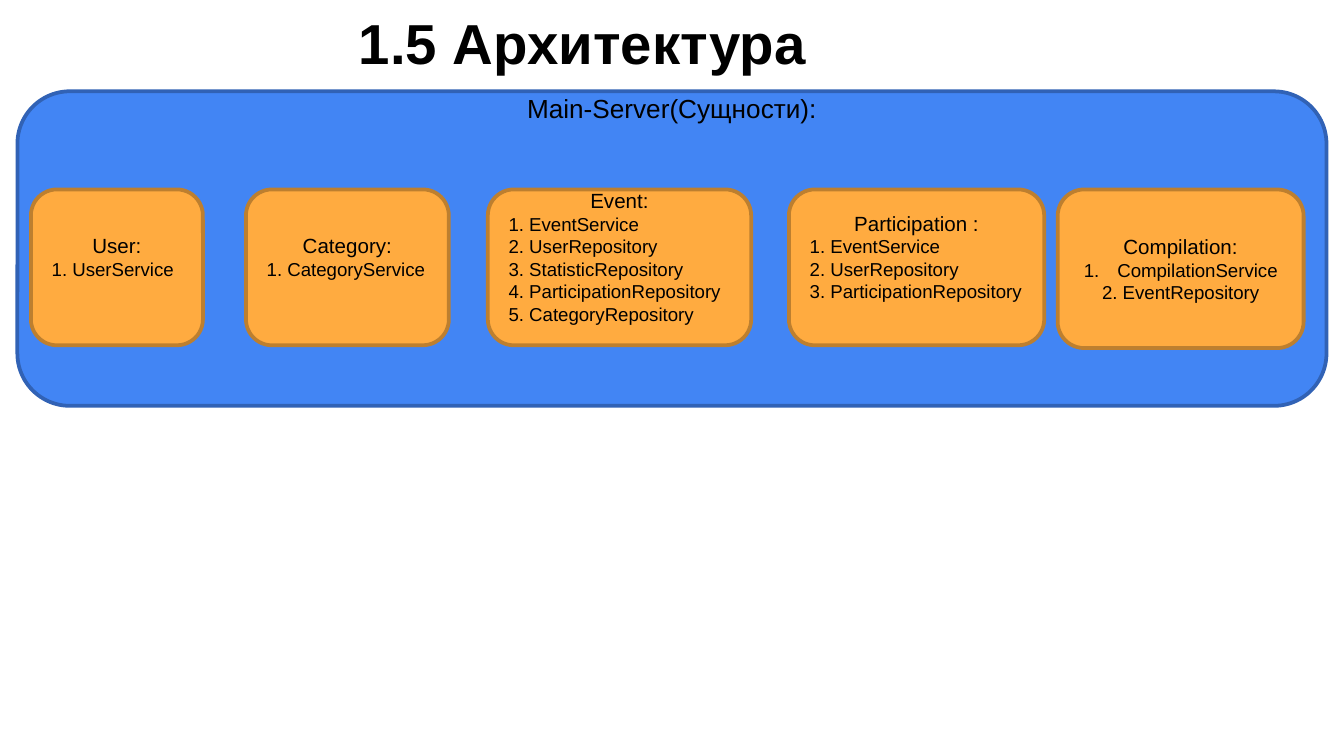
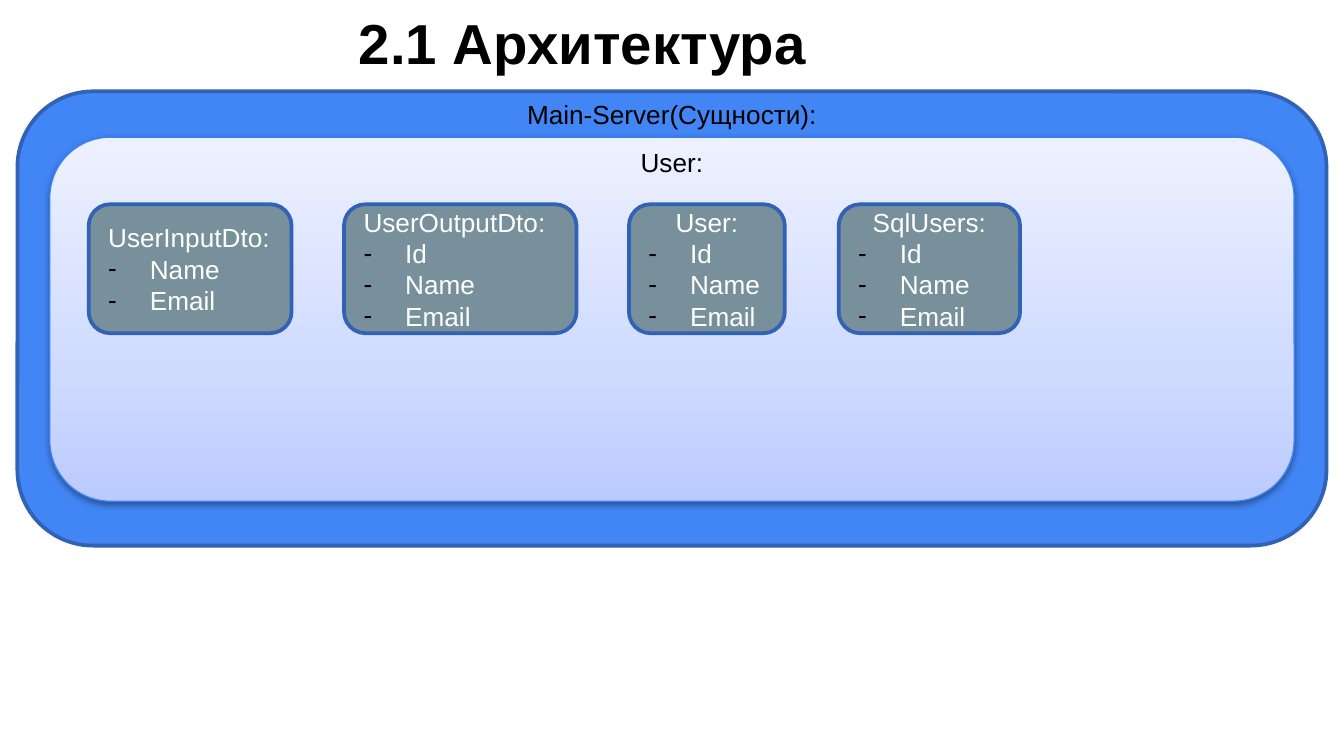
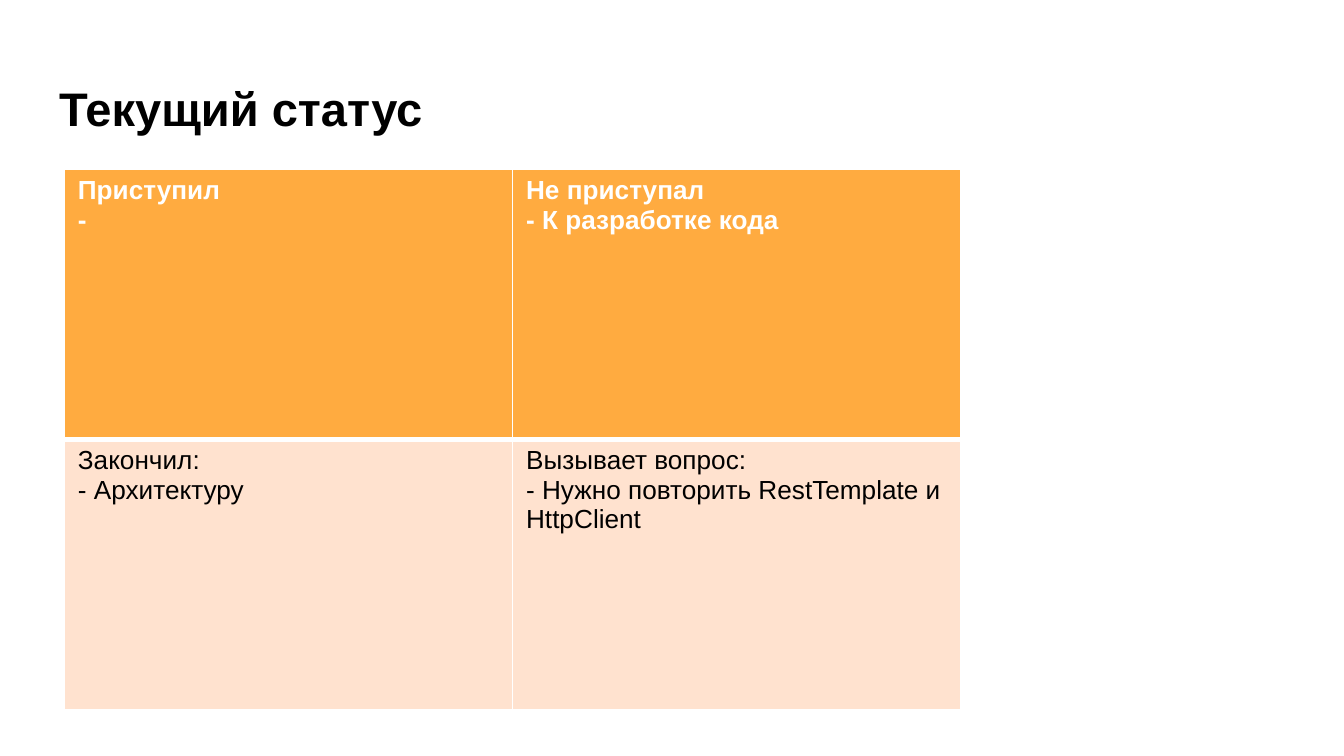
"""Build three slides on service architecture and current status."""
from dataclasses import dataclass

from pptx import Presentation as Deck
from pptx.dml.color import RGBColor as Color
from pptx.enum.shapes import MSO_SHAPE as Form
from pptx.enum.text import MSO_ANCHOR as Anchor, PP_ALIGN as Align
from pptx.oxml import parse_xml as to_xml
from pptx.oxml.ns import nsdecls, qn
from pptx.shapes.autoshape import Shape
from pptx.slide import Slide
from pptx.table import _Cell as Cell
from pptx.util import Inches, Pt


@dataclass(frozen=True)
class Theme:
    font: str = "Arial"
    black: str = "000000"
    white: str = "FFFFFF"
    blue: str = "4285F4"
    navy: str = "3162B5"
    amber: str = "FFAB40"
    brown: str = "BD7F2F"
    peach: str = "FFE2CF"
    slate: str = "78909C"
    rim: str = "3C81F3"
    fade: tuple = ((0, "BBCBFF"), (35, "CFDAFF"), (100, "EDF1FF"))
    title: float = 30.2
    status: float = 25.2
    body: float = 14
    head: float = 11
    item: float = 10


@dataclass(frozen=True)
class Look:
    fill: str
    line: str
    ink: str
    head: float
    item: float
    weight: float = 2


@dataclass(frozen=True)
class Row:
    text: str
    align: Align = Align.JUSTIFY
    mark: str = ""
    indent: float = 0


@dataclass(frozen=True)
class Card:
    left: float
    width: float
    height: float
    head: str
    rows: tuple
    align: Align = Align.CENTER
    tail: float = 0


@dataclass(frozen=True)
class Panel:
    left: float
    top: float
    width: float
    height: float
    label: str
    inset: float


T = Theme()
WRAP = Look(T.blue, T.navy, T.black, T.body, T.body)
GLASS = Look(T.white, T.rim, T.black, T.body, T.body, 0.75)
ENTITY = Look(T.amber, T.brown, T.black, T.head, T.item)
MODEL = Look(T.slate, T.navy, T.white, T.body, T.body)

DASH = '<a:buChar {} char="-"/>'
COUNT = '<a:buAutoNum {} type="arabicPeriod"/>'
BLANK = 0.16


def plain(*names: str) -> tuple:
    return tuple(Row(f"{n}. {name}") for n, name in enumerate(names, 1))


def dashed(*names: str) -> tuple:
    return tuple(Row(name, mark=DASH, indent=0.31) for name in names)


SERVER = "Main-Server(Сущности):"
ENTITIES = (
    Card(0.23, 1.28, 1.16, "User:", plain("UserService"), tail=BLANK),
    Card(1.83, 1.51, 1.16, "Category:", plain("CategoryService"), tail=BLANK),
    Card(3.63, 1.96, 1.16, "Event:",
         plain("EventService", "UserRepository", "StatisticRepository",
               "ParticipationRepository", "CategoryRepository"), tail=BLANK),
    Card(7.87, 1.83, 1.18, "Compilation:",
         (Row("CompilationService", Align.CENTER, COUNT, 0.25),
          Row("2. EventRepository", Align.CENTER))),
    Card(5.87, 1.9, 1.16, "Participation :",
         plain("EventService", "UserRepository", "ParticipationRepository"),
         tail=BLANK),
)
FIELDS = dashed("Id", "Name", "Email")
MODELS = (
    Card(0.66, 1.51, 0.96, "UserInputDto:", FIELDS[1:], Align.JUSTIFY),
    Card(2.56, 1.73, 0.96, "UserOutputDto:", FIELDS, Align.JUSTIFY),
    Card(4.68, 1.16, 0.96, "User:", FIELDS),
    Card(6.24, 1.35, 0.96, "SqlUsers:", FIELDS),
)
STATUS = (
    (("Приступил", "-"), ("Не приступал", "- К разработке кода")),
    (("Закончил:", "- Архитектуру"),
     ("Вызывает вопрос:", "- Нужно повторить RestTemplate и HttpClient")),
)


def write(para, text: str, size: float, ink: str, bold: bool = False) -> None:
    run = para.add_run()
    run.text = text
    font = run.font
    font.name, font.size, font.bold = T.font, Pt(size), bold
    font.color.rgb = Color.from_string(ink)


def add_title(deck, text: str, size: float, left: float, top: float,
              width: float) -> Slide:
    slide = deck.slides.add_slide(deck.slide_layouts[5])
    title = slide.shapes.title
    title.left, title.top = Inches(left), Inches(top)
    title.width, title.height = Inches(width), Inches(0.63)
    frame = title.text_frame
    frame.word_wrap = True
    frame.vertical_anchor = Anchor.TOP
    frame.margin_left = frame.margin_right = Inches(0.1)
    frame.margin_top = frame.margin_bottom = Inches(0.1)
    para = frame.paragraphs[0]
    para.alignment = Align.LEFT
    write(para, text, size, T.black, True)
    return slide


def add_box(slide: Slide, left: float, top: float, width: float,
            height: float, look: Look) -> Shape:
    box = slide.shapes.add_shape(
        Form.ROUNDED_RECTANGLE, Inches(left), Inches(top),
        Inches(width), Inches(height))
    box.shadow.inherit = False
    box.fill.solid()
    box.fill.fore_color.rgb = Color.from_string(look.fill)
    box.line.color.rgb = Color.from_string(look.line)
    box.line.width = Pt(look.weight)
    box.text_frame.word_wrap = True
    return box


def add_panel(slide: Slide, panel: Panel, look: Look) -> Shape:
    box = add_box(slide, panel.left, panel.top, panel.width, panel.height, look)
    frame = box.text_frame
    frame.vertical_anchor = Anchor.TOP
    frame.margin_top = Inches(panel.inset)
    para = frame.paragraphs[0]
    para.alignment = Align.CENTER
    write(para, panel.label, look.head, look.ink)
    return box


def add_glow(box: Shape) -> None:
    box.fill.gradient()
    box.fill.gradient_angle = 90
    props = box.fill._xPr
    stops = props.find(qn("a:gradFill")).find(qn("a:gsLst"))
    for stop in list(stops):
        stops.remove(stop)
    for spot, tint in T.fade:
        stops.append(to_xml(
            f'<a:gs {nsdecls("a")} pos="{spot * 1000}">'
            f'<a:srgbClr val="{tint}"/></a:gs>'))
    props.find(qn("a:effectLst")).append(to_xml(
        f'<a:outerShdw {nsdecls("a")} blurRad="{Pt(3.1)}" dist="{Pt(1.6)}" '
        f'dir="5400000" rotWithShape="0"><a:srgbClr val="{T.black}">'
        '<a:alpha val="38000"/></a:srgbClr></a:outerShdw>'))


def add_mark(para, row: Row, size: float) -> None:
    props = para._p.get_or_add_pPr()
    props.set("marL", str(Inches(row.indent)))
    props.set("indent", str(-Inches(row.indent)))
    space = nsdecls("a")
    for part in (
            f'<a:buClr {space}><a:srgbClr val="{T.black}"/></a:buClr>',
            f'<a:buSzPts {space} val="{int(size * 100)}"/>',
            f'<a:buFont {space} typeface="{T.font}"/>',
            row.mark.format(space)):
        props.append(to_xml(part))


def add_card(slide: Slide, card: Card, top: float, look: Look) -> None:
    box = add_box(slide, card.left, top, card.width, card.height, look)
    frame = box.text_frame
    frame.vertical_anchor = Anchor.MIDDLE
    frame.margin_top = Inches(0.1)
    frame.margin_bottom = Inches(0.1 + card.tail)
    para = frame.paragraphs[0]
    para.alignment = card.align
    write(para, card.head, look.head, look.ink)
    for row in card.rows:
        para = frame.add_paragraph()
        para.alignment = row.align
        if row.mark:
            add_mark(para, row, look.item)
        write(para, row.text, look.item, look.ink)


def add_edge(cell: Cell, base: float) -> None:
    props = cell._tc.get_or_add_tcPr()
    for spot, (side, width) in enumerate(
            (("L", 1), ("R", 1), ("T", 1), ("B", base))):
        props.insert(spot, to_xml(
            f'<a:ln{side} {nsdecls("a")} w="{Pt(width)}"><a:solidFill>'
            f'<a:srgbClr val="{T.white}"/></a:solidFill></a:ln{side}>'))


def add_grid(slide: Slide) -> None:
    grid = slide.shapes.add_table(
        2, 2, Inches(0.48), Inches(1.26), Inches(6.67), Inches(4.02)).table
    looks = ((T.amber, T.white, True, 3), (T.peach, T.black, False, 1))
    for r, (cells, look) in enumerate(zip(STATUS, looks)):
        fill, ink, bold, base = look
        for c, lines in enumerate(cells):
            cell = grid.cell(r, c)
            cell.fill.solid()
            cell.fill.fore_color.rgb = Color.from_string(fill)
            add_edge(cell, base)
            frame = cell.text_frame
            for n, line in enumerate(lines):
                para = frame.add_paragraph() if n else frame.paragraphs[0]
                write(para, line, T.body, ink, bold)


def main() -> None:
    deck = Deck()
    deck.slide_width = Inches(10)
    deck.slide_height = deck.slide_width * 9 // 16

    slide = add_title(deck, "1.5 Архитектура", T.title, 2.57, -0.04, 3.81)
    add_panel(slide, Panel(0.13, 0.68, 9.74, 2.34, SERVER, -0.11), WRAP)
    for card in ENTITIES:
        add_card(slide, card, 1.41, ENTITY)

    slide = add_title(deck, "2.1 Архитектура", T.title, 2.57, -0.04, 3.81)
    add_panel(slide, Panel(0.13, 0.68, 9.74, 3.38, SERVER, -0.11), WRAP)
    add_glow(add_panel(slide, Panel(0.37, 1.02, 9.26, 2.71, "User:", -0.06), GLASS))
    for card in MODELS:
        add_card(slide, card, 1.52, MODEL)

    slide = add_title(deck, "Текущий статус", T.status, 0.34, 0.49, 9.32)
    add_grid(slide)
    deck.save("out.pptx")


if __name__ == "__main__":
    main()
